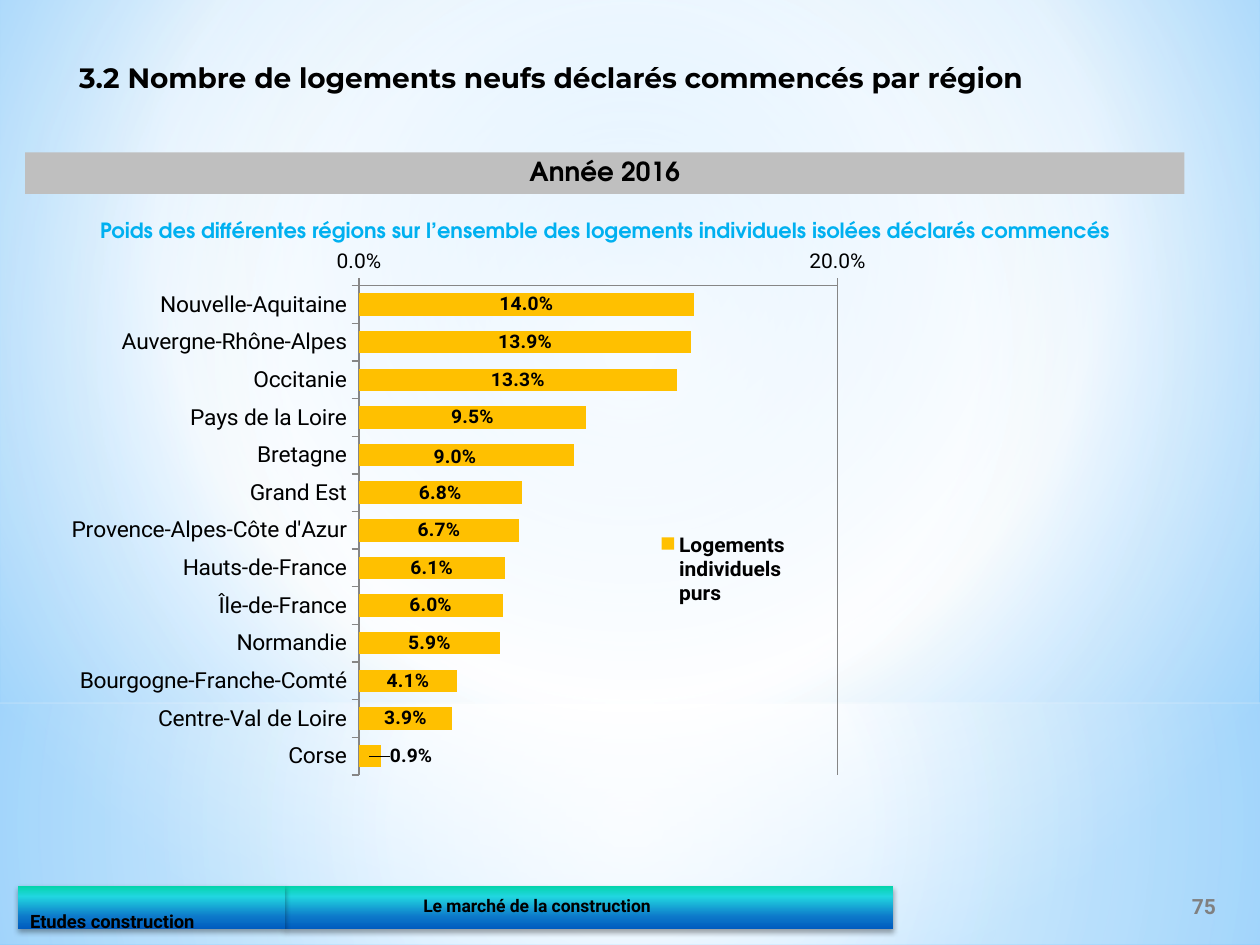
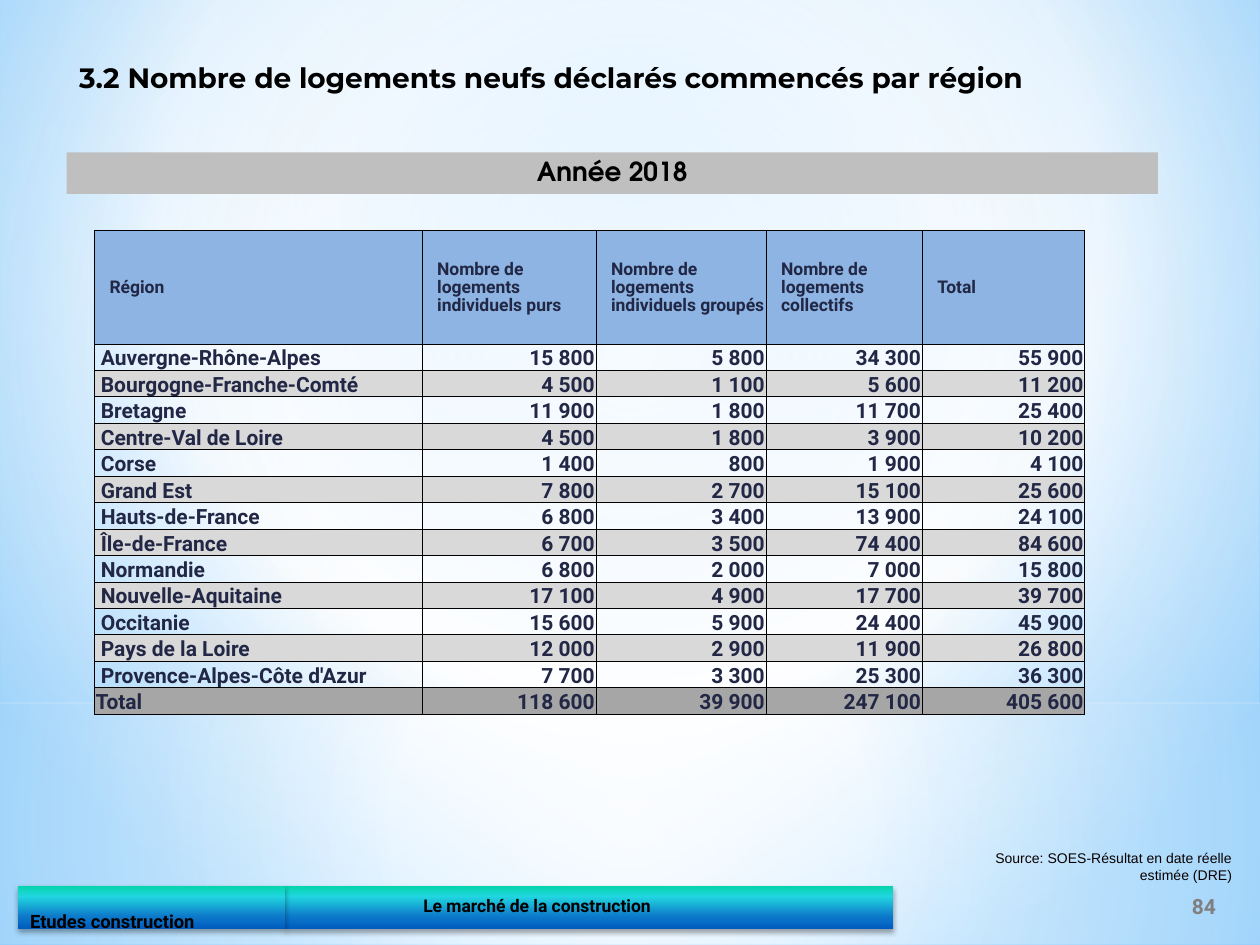
from lxml import etree
from pptx import Presentation, util as u
from pptx.chart.data import CategoryChartData
from pptx.dml.color import RGBColor
from pptx.enum import chart as ch, shapes, text
from pptx.oxml import ns, parse_xml

TITLE = "3.2 Nombre de logements neufs déclarés commencés par région"
FOOTER = "Le marché de la construction"
DEPARTMENT = "Etudes construction"
SOURCE = "Source: SOES-Résultat en date réelle estimée (DRE)"
WEIGHT_HEADING = ("Poids des différentes régions sur l’ensemble des logements "
                  "individuels isolées déclarés commencés")
WEIGHT_SERIES = "Logements individuels purs"
REGION_WEIGHTS = {
    "Nouvelle-Aquitaine": 0.14,
    "Auvergne-Rhône-Alpes": 0.139,
    "Occitanie": 0.133,
    "Pays de la Loire": 0.095,
    "Bretagne": 0.09,
    "Grand Est": 0.068,
    "Provence-Alpes-Côte d'Azur": 0.067,
    "Hauts-de-France": 0.061,
    "Île-de-France": 0.06,
    "Normandie": 0.059,
    "Bourgogne-Franche-Comté": 0.041,
    "Centre-Val de Loire": 0.039,
    "Corse": 0.009,
}
LABEL_SHIFTS = {"Bretagne": (-0.01, 0.003), "Corse": (0.036, 0)}
HOUSING_HEADER = ("Région", "Nombre de logements individuels purs",
                  "Nombre de logements individuels groupés",
                  "Nombre de logements collectifs", "Total")
HOUSING_STARTS = [
    ("Auvergne-Rhône-Alpes", 15800, 5800, 34300, 55900),
    ("Bourgogne-Franche-Comté", 4500, 1100, 5600, 11200),
    ("Bretagne", 11900, 1800, 11700, 25400),
    ("Centre-Val de Loire", 4500, 1800, 3900, 10200),
    ("Corse", 1400, 800, 1900, 4100),
    ("Grand Est", 7800, 2700, 15100, 25600),
    ("Hauts-de-France", 6800, 3400, 13900, 24100),
    ("Île-de-France", 6700, 3500, 74400, 84600),
    ("Normandie", 6800, 2000, 7000, 15800),
    ("Nouvelle-Aquitaine", 17100, 4900, 17700, 39700),
    ("Occitanie", 15600, 5900, 24400, 45900),
    ("Pays de la Loire", 12000, 2900, 11900, 26800),
    ("Provence-Alpes-Côte d'Azur", 7700, 3300, 25300, 36300),
    ("Total", 118600, 39900, 247100, 405600),
]
COLUMN_WIDTHS = (2.6, 1.38, 1.35, 1.24, 1.29)

BODY, DISPLAY, HEADING = "Roboto", "TeX Gyre Adventor", "Montserrat"
BLACK, BAND, PAGE_GREY, AXIS = "000000", "BFBFBF", "808080", "868686"
SKY, AMBER, NAVY = "00B0F0", "FFC000", "212745"
HEADER_BLUE, STRIPE, TOTAL_GREY = "8DB4E2", "D9D9D9", "A6A6A6"
BACKDROP = [(0, "9ED5FF", 100), (60, "FFFFFF", 100), (100, "5BB9FF", 100)]
LOWER_GLOW = [(0, "FFFFFF", 91), (37, "FFFFFF", 76), (100, "B4DCFA", 79)]
UPPER_GLOW = [(0, "FFFFFF", 89), (48, "FFFFFF", 62), (100, "B4DCFA", 79)]
FOOTER_BLEND = [(0, "03D4A8", 100), (25, "21D6E0", 100),
                (72, "0D79CA", 100), (100, "005CBF", 100)]
LEFT, CENTER, RIGHT = text.PP_ALIGN.LEFT, text.PP_ALIGN.CENTER, text.PP_ALIGN.RIGHT
TOP, MIDDLE, BOTTOM = text.MSO_ANCHOR.TOP, text.MSO_ANCHOR.MIDDLE, text.MSO_ANCHOR.BOTTOM
A_NS, C_NS = ns.nsdecls("a"), ns.nsdecls("c")


def rgb(code):
    return RGBColor.from_string(code)


def box(*inches):
    return [u.Inches(value) for value in inches]


def blend(holder, fill, stops, focus=None):
    fill.solid()
    solid = next(holder.iter(ns.qn("a:solidFill")))
    listed = "".join(
        f'<a:gs pos="{pos * 1000}"><a:srgbClr val="{code}">'
        f'<a:alpha val="{alpha * 1000}"/></a:srgbClr></a:gs>'
        for pos, code, alpha in stops)
    if focus:
        sides = " ".join(f'{side}="{part * 1000}"' for side, part in zip("ltrb", focus))
        course = f'<a:path path="circle"><a:fillToRect {sides}/></a:path>'
    else:
        course = '<a:lin ang="5400000" scaled="0"/>'
    solid.getparent().replace(solid, parse_xml(
        f'<a:gradFill {A_NS} rotWithShape="1"><a:gsLst>{listed}</a:gsLst>{course}</a:gradFill>'))


def style(font, size, color=BLACK, face=BODY, bold=True):
    font.size, font.name, font.bold = u.Pt(size), face, bold
    font.color.rgb = rgb(color)


def write(frame, words, size, color=BLACK, face=BODY, bold=True, align=LEFT,
          anchor=TOP, insets=(0.1, 0.05, 0.1, 0.05), spacing=0.9, wrap=True):
    (frame.margin_left, frame.margin_top,
     frame.margin_right, frame.margin_bottom) = box(*insets)
    frame.word_wrap, frame.vertical_anchor = wrap, anchor
    line = frame.paragraphs[0]
    line.alignment, line.line_spacing = align, spacing
    run = line.add_run()
    run.text = words
    style(run.font, size, color, face, bold)


def label(slide, place, words, size, **look):
    write(slide.shapes.add_textbox(*box(*place)).text_frame, words, size, **look)


def panel(slide, place):
    shape = slide.shapes.add_shape(shapes.MSO_SHAPE.RECTANGLE, *box(*place))
    shape.shadow.inherit = False
    shape.line.fill.background()
    return shape


def footer_bar(slide, place, words, size, **look):
    bar = panel(slide, place)
    blend(bar._element.spPr, bar.fill, FOOTER_BLEND)
    bar._element.spPr.find(ns.qn("a:effectLst")).append(parse_xml(
        f'<a:outerShdw {A_NS} blurRad="{u.Pt(3.1)}" dist="{u.Pt(1.8)}" dir="5400000">'
        f'<a:srgbClr val="{BLACK}"><a:alpha val="35000"/></a:srgbClr></a:outerShdw>'))
    write(bar.text_frame, words, size, **look)


def base_slide(deck, page, year, band_left, band_width):
    slide = deck.slides.add_slide(deck.slide_layouts[6])
    blend(slide._element, slide.background.fill, BACKDROP, (20, 10, 20, 60))
    for place, stops in (((0, 5.58, 10, 1.92), LOWER_GLOW), ((0, 0, 10, 5.58), UPPER_GLOW)):
        glow = panel(slide, place)
        blend(glow._element.spPr, glow.fill, stops, (50, 50, 50, 50))
    footer_bar(slide, (2.26, 7.03, 4.83, 0.34), FOOTER, 10,
               anchor=MIDDLE, insets=(1.1, 0, 0.1, 0))
    footer_bar(slide, (0.14, 7.03, 2.12, 0.34), DEPARTMENT, 10.5, insets=(0.1, 0.21, 0.1, 0))
    label(slide, (9.26, 6.99, 0.59, 0.4), page, 12, color=PAGE_GREY,
          align=CENTER, anchor=MIDDLE, spacing=1)
    band = panel(slide, (band_left, 1.21, band_width, 0.33))
    band.fill.solid()
    band.fill.fore_color.rgb = rgb(BAND)
    write(band.text_frame, f"Année {year}", 15, face=DISPLAY, align=CENTER)
    label(slide, (0.53, 0.43, 8.08, 0.44), TITLE, 16, face=HEADING, spacing=1)
    return slide


def place_part(part, index, **layout):
    for old in part.findall(ns.qn("c:layout")):
        part.remove(old)
    manual = "".join(f'<c:{key} val="{value}"/>' for key, value in layout.items())
    part.insert(index, parse_xml(
        f"<c:layout {C_NS}><c:manualLayout>{manual}</c:manualLayout></c:layout>"))


def style_axis(axis, size):
    axis.major_tick_mark, axis.minor_tick_mark = ch.XL_TICK_MARK.OUTSIDE, ch.XL_TICK_MARK.NONE
    axis.format.line.color.rgb = rgb(AXIS)
    axis.format.line.width = u.Pt(0.75)
    style(axis.tick_labels.font, size, bold=False)


def add_weights(slide):
    data = CategoryChartData(number_format="0.0%")
    data.categories = list(REGION_WEIGHTS)
    data.add_series(WEIGHT_SERIES, list(REGION_WEIGHTS.values()))
    chart = slide.shapes.add_chart(ch.XL_CHART_TYPE.BAR_STACKED,
                                   *box(0.26, 1.98, 9.15, 4.69), data).chart
    chart.has_title = False
    style(chart.font, 18, bold=False)

    regions, weights = chart.category_axis, chart.value_axis
    style_axis(regions, 13)
    regions.reverse_order = True
    regions.has_major_gridlines = False
    style_axis(weights, 12)
    weights.minimum_scale, weights.maximum_scale, weights.major_unit = 0, 0.2, 0.2
    weights.has_major_gridlines = True
    weights.major_gridlines.format.line.color.rgb = rgb(AXIS)
    weights.tick_labels.number_format = "0.0%"
    weights.tick_labels.number_format_is_linked = False

    bars = chart.plots[0]
    bars.gap_width, bars.overlap, bars.vary_by_categories = 68, 100, False
    series = bars.series[0]
    series.format.fill.solid()
    series.format.fill.fore_color.rgb = rgb(AMBER)
    labels = series.data_labels
    labels.show_value = True
    labels.number_format, labels.number_format_is_linked = "0.0%", False
    style(labels.font, 11)
    for region, (dx, dy) in LABEL_SHIFTS.items():
        index = list(REGION_WEIGHTS).index(region)
        style(series.points[index].data_label.font, 11)
        moved = next(item for item in series._element.iter(ns.qn("c:dLbl"))
                     if item.find(ns.qn("c:idx")).get("val") == str(index))
        place_part(moved, 1, x=dx, y=dy)
        moved.insert(2, parse_xml(f'<c:numFmt {C_NS} formatCode="0.0%" sourceLinked="0"/>'))

    chart.has_legend = True
    chart.legend.position = ch.XL_LEGEND_POSITION.RIGHT
    chart.legend.include_in_layout = False
    style(chart.legend.font, 12)
    place_part(chart.legend._element, 1, xMode="edge", yMode="edge",
               x=0.534, y=0.458, w=0.13, h=0.14)
    place_part(next(chart._chartSpace.iter(ns.qn("c:plotArea"))), 0, layoutTarget="inner",
               xMode="edge", yMode="edge", x=0.283, y=0.033, w=0.415, h=0.853)


def outline(cell):
    for index, side in enumerate("LRTB"):
        edge = etree.Element(ns.qn(f"a:ln{side}"), w=str(u.Pt(0.5)))
        color = etree.SubElement(edge, ns.qn("a:solidFill"))
        etree.SubElement(color, ns.qn("a:srgbClr"), val=BLACK)
        cell._tc.get_or_add_tcPr().insert(index, edge)


def add_starts(slide):
    rows = [HOUSING_HEADER, *HOUSING_STARTS]
    last = len(rows) - 1
    table = slide.shapes.add_table(len(rows), len(HOUSING_HEADER),
                                   *box(0.75, 1.83, sum(COLUMN_WIDTHS), 3.84)).table
    table.first_row = table.horz_banding = False
    for column, width in zip(table.columns, COLUMN_WIDTHS):
        column.width = u.Inches(width)
    for r, values in enumerate(rows):
        table.rows[r].height = u.Inches(0.21 if r else 0.9)
        shade = {0: HEADER_BLUE, last: TOTAL_GREY}.get(r, None if r % 2 else STRIPE)
        for c, value in enumerate(values):
            cell = table.cell(r, c)
            if shade:
                cell.fill.solid()
                cell.fill.fore_color.rgb = rgb(shade)
            else:
                cell.fill.background()
            outline(cell)
            words = value if isinstance(value, str) else f"{value:,}".replace(",", " ")
            indent = 0.12 if r == 0 else 0.05 if c == 0 and r < last else 0.01
            write(cell.text_frame, words, 12 if r else 10, color=NAVY,
                  align=RIGHT if r and c else LEFT)
            cell.vertical_anchor = BOTTOM if r else MIDDLE
            (cell.margin_left, cell.margin_top,
             cell.margin_right, cell.margin_bottom) = box(indent, 0.01, 0.01, 0)


def main():
    """Build the two housing-start slides."""
    deck = Presentation()
    deck.slide_width, deck.slide_height = box(10, 7.5)

    weights = base_slide(deck, "75", 2016, 0.2, 9.2)
    label(weights, (0.37, 1.7, 8.87, 0.28), WEIGHT_HEADING, 12,
          color=SKY, face=DISPLAY, align=CENTER)
    add_weights(weights)

    starts = base_slide(deck, "84", 2018, 0.53, 8.66)
    label(starts, (7.66, 6.72, 2.21, 0.31), SOURCE, 8, color="080000", face="Arial",
          bold=False, align=RIGHT, anchor=MIDDLE, insets=(0.09, 0.04, 0.09, 0.04),
          spacing=1, wrap=False)
    add_starts(starts)
    deck.save("out.pptx")


if __name__ == "__main__":
    main()
